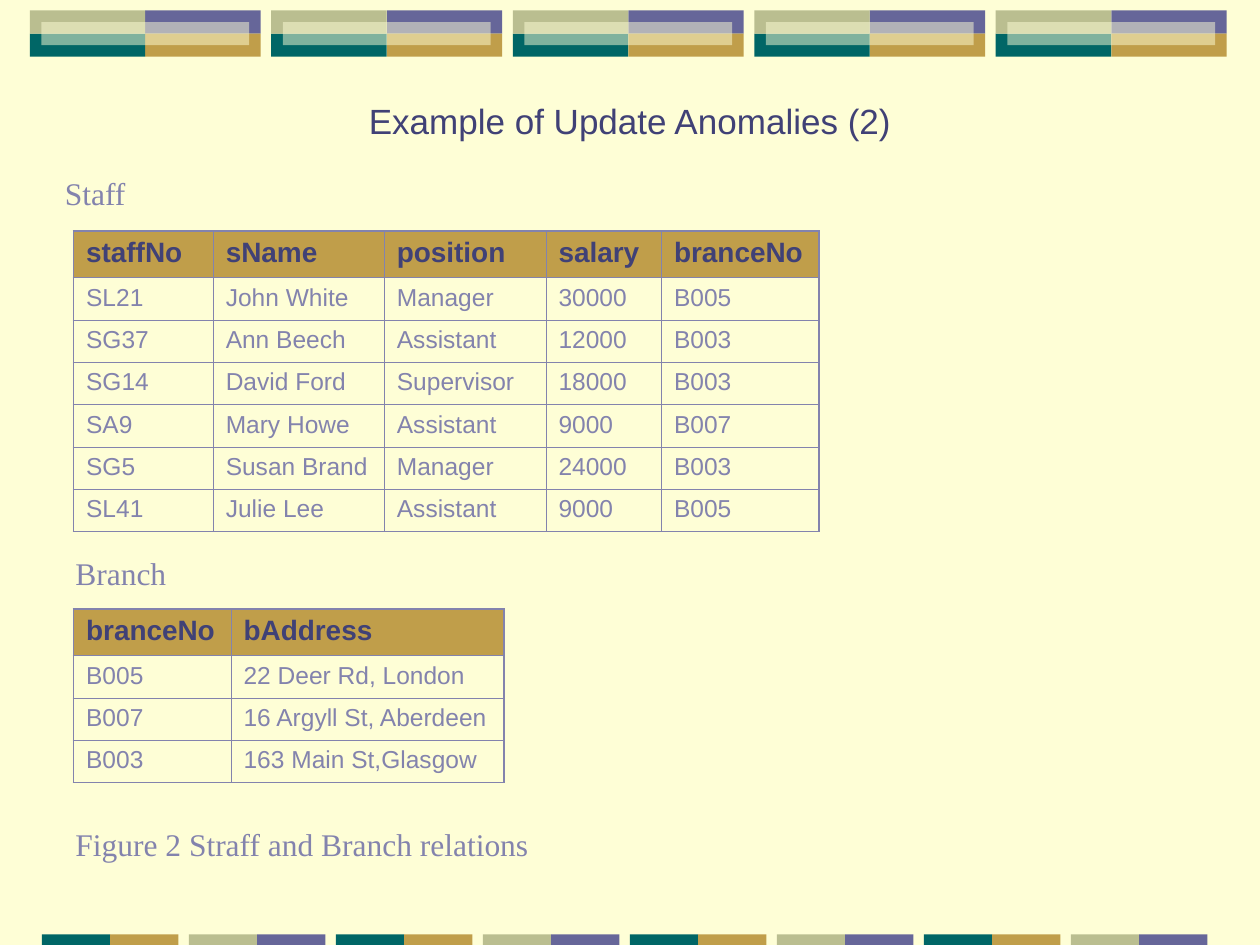
import pptx
import pptx.dml.color
import pptx.enum.shapes
import pptx.enum.text
import pptx.oxml
import pptx.oxml.ns
import pptx.util

COLOURS = {
    "paper": "FEFED6",
    "sage": "BABE90",
    "violet": "666699",
    "teal": "006666",
    "gold": "C09E4A",
    "heading": "404176",
    "body": "8383AD",
}
COLUMNS, ROWS = 120, 90  # grid of the slide
HEADER_ROW, DATA_ROW = 4.45, 4.03
OUTER_LINE, INNER_LINE = 1.08, 0.45


def rgb(name):
    return pptx.dml.color.RGBColor.from_string(COLOURS[name])


class SlideBuilder:
    def __init__(self, presentation):
        self.column = presentation.slide_width / COLUMNS
        self.row = presentation.slide_height / ROWS
        self.slide = presentation.slides.add_slide(presentation.slide_layouts[5])
        self.slide.background.fill.solid()
        self.slide.background.fill.fore_color.rgb = rgb("paper")

    def across(self, columns):
        return pptx.util.Emu(round(columns * self.column))

    def down(self, rows):
        return pptx.util.Emu(round(rows * self.row))

    def box(self, left, top, width, height):
        return self.across(left), self.down(top), self.across(width), self.down(height)

    def set_text(self, frame, text, size, colour, font="Arial", bold=False):
        frame.text = text
        style = frame.paragraphs[0].runs[0].font
        style.name, style.size, style.bold = font, pptx.util.Pt(size), bold
        style.color.rgb = rgb(colour)

    def title(self, text, *area):
        heading = self.slide.shapes.title
        heading.left, heading.top, heading.width, heading.height = self.box(*area)
        frame = heading.text_frame
        self.set_text(frame, text, 20, "heading")
        frame.word_wrap = True
        frame.auto_size = pptx.enum.text.MSO_AUTO_SIZE.NONE
        frame.vertical_anchor = pptx.enum.text.MSO_ANCHOR.MIDDLE
        frame.paragraphs[0].alignment = pptx.enum.text.PP_ALIGN.CENTER

    def label(self, text, *area):
        frame = self.slide.shapes.add_textbox(*self.box(*area)).text_frame
        frame.word_wrap = True
        self.set_text(frame, text, 18, "body", "Times New Roman")

    def block(self, colour, *area, opacity=None):
        block = self.slide.shapes.add_shape(
            pptx.enum.shapes.MSO_SHAPE.RECTANGLE, *self.box(*area))
        block.shadow.inherit = False
        block.line.fill.background()
        block.fill.solid()
        block.fill.fore_color.rgb = rgb(colour)
        if opacity is not None:
            fill = block._element.spPr.find(pptx.oxml.ns.qn("a:solidFill"))
            alpha = pptx.oxml.parse_xml(
                f'<a:alpha {pptx.oxml.ns.nsdecls("a")} val="{opacity * 1000}"/>')
            fill[0].append(alpha)

    def borders(self, cell, outer_sides):
        properties = cell._tc.get_or_add_tcPr()
        for index, side in enumerate("LRTB"):
            width = pptx.util.Pt(OUTER_LINE if side in outer_sides else INNER_LINE)
            properties.insert(index, pptx.oxml.parse_xml(
                f'<a:ln{side} {pptx.oxml.ns.nsdecls("a")} w="{width}"><a:solidFill>'
                f'<a:srgbClr val="{COLOURS["body"]}"/></a:solidFill></a:ln{side}>'))

    def relation(self, left, top, widths, records):
        last_row, last_column = len(records) - 1, len(widths) - 1
        table = self.slide.shapes.add_table(
            len(records), len(widths),
            *self.box(left, top, sum(widths), HEADER_ROW + last_row * DATA_ROW)).table
        table.horz_banding = False
        for column, width in zip(table.columns, widths):
            column.width = self.across(width)
        for r, record in enumerate(records):
            is_header = r == 0
            table.rows[r].height = self.down(HEADER_ROW if is_header else DATA_ROW)
            for c, value in enumerate(record):
                cell = table.cell(r, c)
                if is_header:
                    self.set_text(cell.text_frame, value, 16, "heading", bold=True)
                    cell.fill.solid()
                    cell.fill.fore_color.rgb = rgb("gold")
                else:
                    self.set_text(cell.text_frame, value, 14, "body")
                    cell.fill.background()
                edges = {"L": c == 0, "R": c == last_column,
                         "T": is_header, "B": r == last_row}
                self.borders(cell, [side for side, at_edge in edges.items() if at_edge])


def main():
    presentation = pptx.Presentation()
    presentation.slide_width = pptx.util.Inches(10)
    presentation.slide_height = pptx.util.Inches(7.5)
    page = SlideBuilder(presentation)

    # Top band: five four-colour tiles with a pale bar over each
    for tile in range(5):
        left = 2.84 + 23 * tile
        page.block("violet", left + 11, 1, 11, 2.2)
        page.block("gold", left + 11, 3.2, 11, 2.2)
        page.block("teal", left, 3.2, 11, 2.2)
        page.block("sage", left, 1, 11, 2.2)
        page.block("paper", left + 1.1, 2.1, 19.8, 2.2, opacity=50)

    # Bottom band: alternating colour pairs
    pairs = [("teal", "gold"), ("sage", "violet")]
    for pair in range(8):
        for half, colour in enumerate(pairs[pair % 2]):
            page.block(colour, 4 + 14 * pair + 6.5 * half, 89, 6.5, 1)

    page.title("Example of Update Anomalies (2)", 9, 9, 102, 5)

    # Staff relation
    page.label("Staff", 5, 16, 8.4, 4.8)
    page.relation(7, 22, [13.3, 16.3, 15.4, 11, 15], [
        ("staffNo", "sName", "position", "salary", "branceNo"),
        ("SL21", "John White", "Manager", "30000", "B005"),
        ("SG37", "Ann Beech", "Assistant", "12000", "B003"),
        ("SG14", "David Ford", "Supervisor", "18000", "B003"),
        ("SA9", "Mary Howe", "Assistant", "9000", "B007"),
        ("SG5", "Susan Brand", "Manager", "24000", "B003"),
        ("SL41", "Julie Lee", "Assistant", "9000", "B005"),
    ])

    # Branch relation
    page.label("Branch", 6, 52.2, 13, 4.8)
    page.relation(7, 58, [15, 26], [
        ("branceNo", "bAddress"),
        ("B005", "22 Deer Rd, London"),
        ("B007", "16 Argyll St, Aberdeen"),
        ("B003", "163 Main St,Glasgow"),
    ])

    # Caption
    page.label("Figure 2 Straff and Branch relations", 6, 78, 56, 4.8)

    presentation.save("out.pptx")


if __name__ == "__main__":
    main()
